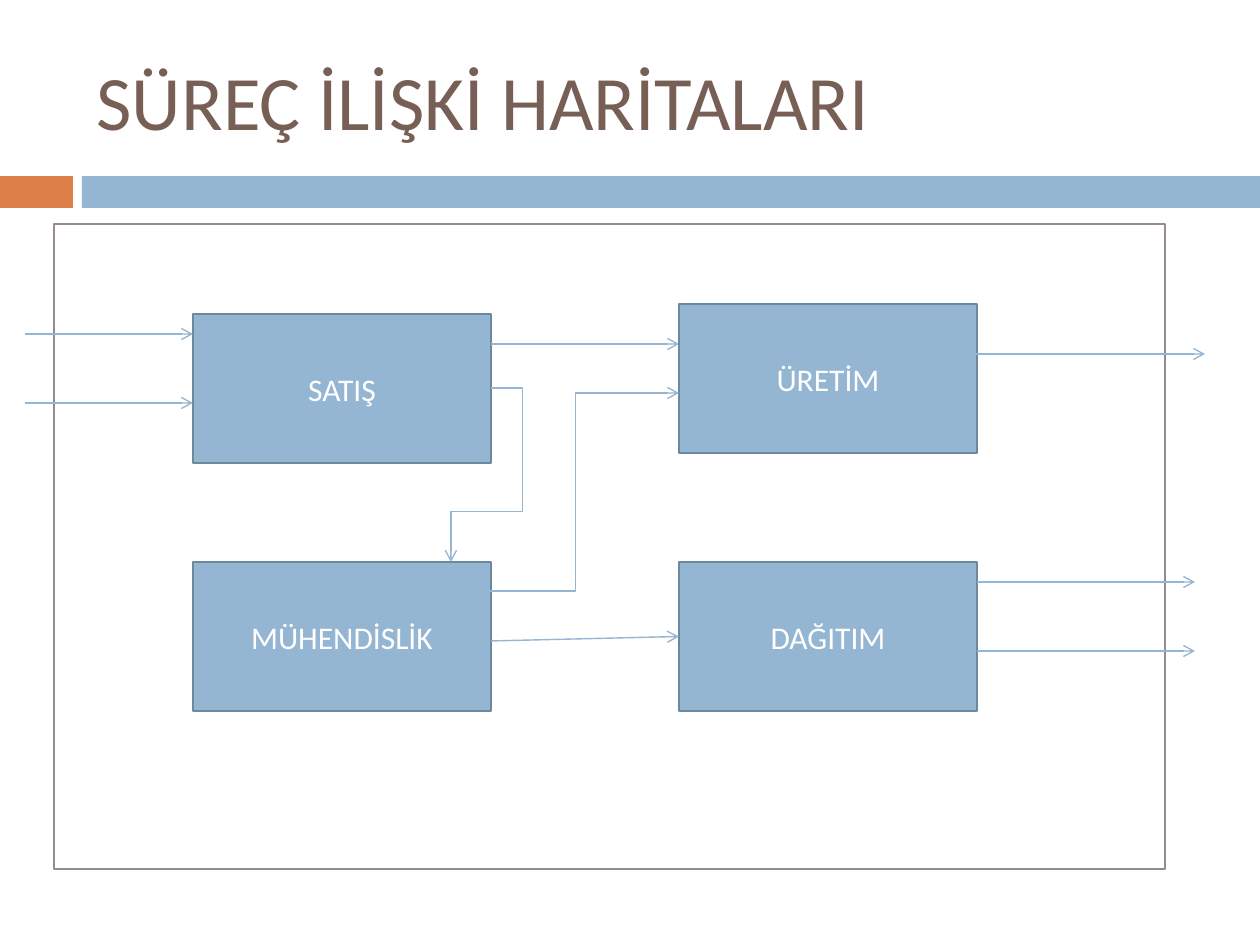
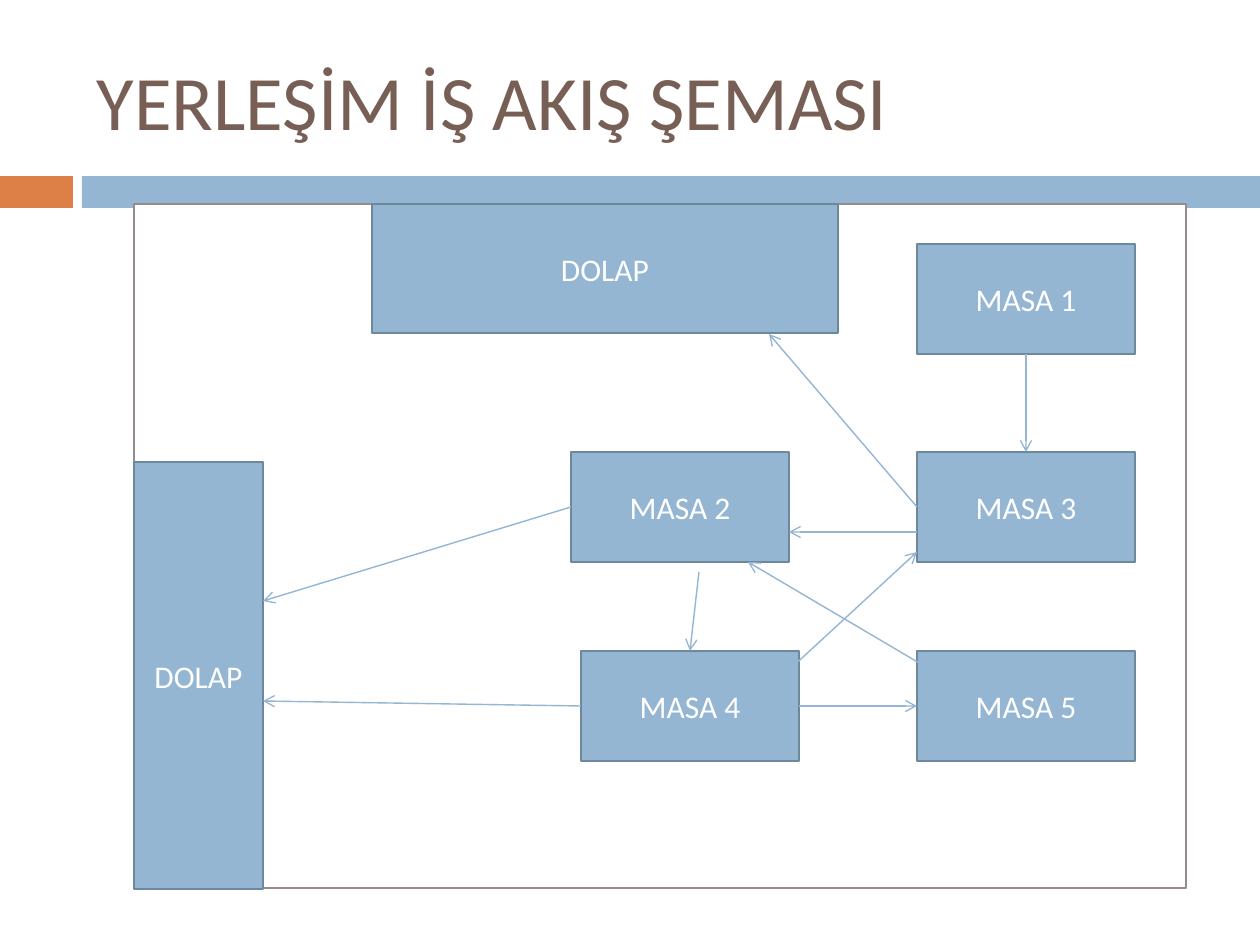
from lxml import etree
from pptx import Presentation
from pptx.dml.color import RGBColor
from pptx.enum.shapes import MSO_CONNECTOR, MSO_SHAPE
from pptx.enum.text import MSO_ANCHOR, MSO_AUTO_SIZE, PP_ALIGN
from pptx.oxml.ns import qn
from pptx.util import Pt

RECT = MSO_SHAPE.RECTANGLE
STRAIGHT, ELBOW = MSO_CONNECTOR.STRAIGHT, MSO_CONNECTOR.ELBOW
LEFT, CENTER = PP_ALIGN.LEFT, PP_ALIGN.CENTER
MIDDLE = MSO_ANCHOR.MIDDLE
NO_FIT = MSO_AUTO_SIZE.NONE

FONT = "Calibri"
WHITE, BLUE, ORANGE, BROWN = "FFFFFF", "94B6D2", "DD8047", "775F55"
BOX_EDGE, FRAME_EDGE = "6D879B", "968C8C"
SCALE = 914400 / 126
SNAP = 2

TITLE_AREA = (84, 32, 1124, 136)
BANDS = [((0, 176, 73, 32), ORANGE), ((82, 176, 1178, 32), BLUE)]

DEPT_W, DEPT_H = 298, 149
DESK_W, DESK_H = 218, 110
DEPT_COLS = (193, 679)
DESK_COL = 917
DESK_ROWS = (244, 452, 651)

SLIDES = [
    {
        "title": "SÜREÇ İLİŞKİ HARİTALARI",
        "frame": (54, 224, 1111, 645),
        "boxes": [
            ("SATIŞ", DEPT_COLS[0], 314, DEPT_W, DEPT_H),
            ("MÜHENDİSLİK", DEPT_COLS[0], 562, DEPT_W, DEPT_H),
            ("DAĞITIM", DEPT_COLS[1], 562, DEPT_W, DEPT_H),
            ("ÜRETİM", DEPT_COLS[1], 304, DEPT_W, DEPT_H),
        ],
        "arrows": [
            (25, 334, 193, 334),
            (25, 403, 193, 403),
            (491, 641, 679, 636),
            (968, 354, 1205, 354),
            (977, 651, 1195, 651),
            (977, 582, 1195, 582),
            (491, 344, 679, 344),
        ],
        "elbows": [
            ((491, 388, 451, 562), "bentConnector4", (-0.79, 0.71)),
            ((472, 591, 679, 393), "bentConnector3", (0.5,)),
        ],
    },
    {
        "title": "YERLEŞİM İŞ AKIŞ ŞEMASI",
        "frame": (134, 204, 1052, 684),
        "boxes": [
            ("DOLAP", 134, 462, 129, 427),
            ("DOLAP", 372, 204, 466, 129),
            ("MASA 4", 581, DESK_ROWS[2], DESK_W, DESK_H),
            ("MASA 2", 571, DESK_ROWS[1], DESK_W, DESK_H),
            ("MASA 5", DESK_COL, DESK_ROWS[2], DESK_W, DESK_H),
            ("MASA 3", DESK_COL, DESK_ROWS[1], DESK_W, DESK_H),
            ("MASA 1", DESK_COL, DESK_ROWS[0], DESK_W, DESK_H),
        ],
        "arrows": [
            (571, 507, 263, 601),
            (581, 706, 263, 701),
            (917, 507, 769, 334),
            (917, 532, 789, 532),
            (1026, 354, 1026, 452),
            (799, 706, 917, 706),
            (789, 670, 917, 552),
            (948, 680, 748, 562),
            (699, 572, 690, 651),
        ],
        "elbows": [],
    },
]


def emu(*lengths):
    return [round(v * SCALE) for v in lengths]


def rgb(value):
    return RGBColor.from_string(value)


def write(tf, text, size, color, align):
    tf.word_wrap = True
    tf.vertical_anchor = MIDDLE
    p = tf.paragraphs[0]
    p.alignment = align
    r = p.add_run()
    r.text = text
    r.font.name = FONT
    r.font.size = Pt(size)
    r.font.color.rgb = rgb(color)


def add_rect(s, area, fill, edge=None):
    sp = s.shapes.add_shape(RECT, *emu(*area))
    sp.shadow.inherit = False
    sp.fill.solid()
    sp.fill.fore_color.rgb = rgb(fill)
    if edge:
        sp.line.color.rgb = rgb(edge)
        sp.line.width = Pt(1.5)
    else:
        sp.line.fill.background()
    return sp


def add_arrow(s, kind, points):
    cn = s.shapes.add_connector(kind, *emu(*points))
    cn.line.color.rgb = rgb(BLUE)
    cn.line.width = Pt(0.79)
    props = cn.element.spPr
    etree.SubElement(props.find(qn("a:ln")), qn("a:tailEnd"), type="arrow")
    etree.SubElement(props, qn("a:effectLst"))
    return cn


def bend(cn, preset, ratios):
    geom = cn.element.spPr.find(qn("a:prstGeom"))
    geom.set("prst", preset)
    guides = geom.find(qn("a:avLst"))
    for i, ratio in enumerate(ratios, 1):
        etree.SubElement(guides, qn("a:gd"), name=f"adj{i}",
                         fmla=f"val {round(ratio * 100000)}")


def find_side(x, y, placed):
    for sp, (bx, by, w, h) in placed:
        middles = [(bx + w / 2, by), (bx, by + h / 2),
                   (bx + w / 2, by + h), (bx + w, by + h / 2)]
        for side, (mx, my) in enumerate(middles):
            if abs(x - mx) <= SNAP and abs(y - my) <= SNAP:
                return sp, side
    return None


def join(cn, points, placed):
    start = find_side(*points[:2], placed)
    end = find_side(*points[2:], placed)
    if start:
        cn.begin_connect(*start)
    if end:
        cn.end_connect(*end)


def prepare_layout(prs, s):
    layout = s.slide_layout
    title = layout.placeholders[0]
    title.left, title.top, title.width, title.height = emu(*TITLE_AREA)
    for area, color in BANDS:
        band = add_rect(s, area, color)
        layout.shapes.element.append(band.element)


def build_slide(s, content):
    tf = s.shapes.title.text_frame
    tf.auto_size = NO_FIT
    write(tf, content["title"], 44, BROWN, LEFT)
    add_rect(s, content["frame"], WHITE, FRAME_EDGE)
    placed = []
    for label, *area in content["boxes"]:
        sp = add_rect(s, area, BLUE, BOX_EDGE)
        write(sp.text_frame, label, 18, WHITE, CENTER)
        placed.append((sp, area))
    for points in content["arrows"]:
        join(add_arrow(s, STRAIGHT, points), points, placed)
    for points, preset, ratios in content["elbows"]:
        bend(add_arrow(s, ELBOW, points), preset, ratios)


def main():
    prs = Presentation()
    prs.slide_width, prs.slide_height = emu(1260, 945)
    for i, content in enumerate(SLIDES):
        s = prs.slides.add_slide(prs.slide_layouts[5])
        if i == 0:
            prepare_layout(prs, s)
        build_slide(s, content)
    prs.save("out.pptx")


if __name__ == "__main__":
    main()
